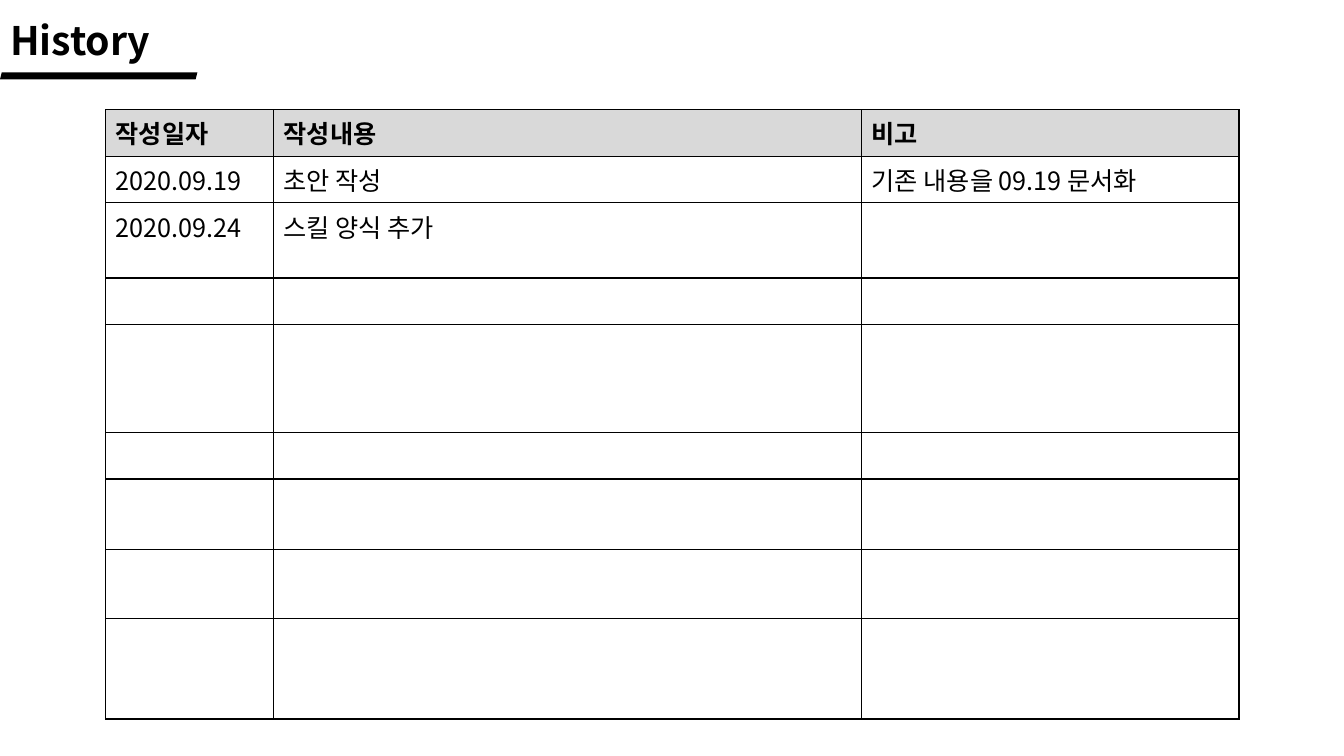
from dataclasses import dataclass

from lxml import etree
from pptx import Presentation
from pptx import util as u
from pptx.dml import color
from pptx.enum import shapes, text
from pptx.oxml import ns

FONT = "Noto Sans CJK KR"
COLORS = {"ink": "000000", "header": "D9D9D9", "paper": "FFFFFF"}
COLUMN_WIDTHS = (120, 420, 269.5)
BORDER_TAGS = ("a:lnL", "a:lnR", "a:lnT", "a:lnB")


@dataclass(frozen=True)
class HistoryRow:
    height: float
    texts: tuple[str, str, str] = ("", "", "")
    fill: str = "paper"
    bold: bool = False


HISTORY = (
    HistoryRow(33.3, ("작성일자", "작성내용", "비고"), "header", True),
    HistoryRow(33.3, ("2020.09.19", "초안 작성", "기존 내용을 09.19 문서화")),
    HistoryRow(53.7, ("2020.09.24", "스킬 양식 추가", "")),
    HistoryRow(33.3),
    HistoryRow(77),
    HistoryRow(33.3),
    HistoryRow(50.6),
    HistoryRow(49.4),
    HistoryRow(71.5),
)


def rgb(name: str) -> color.RGBColor:
    return color.RGBColor.from_string(COLORS[name])


def style_text(frame, size: float, bold: bool) -> None:
    for para in frame.paragraphs:
        for span in para.runs:
            span.font.size = u.Pt(size)
            span.font.bold = bold
            span.font.name = FONT
            span.font.color.rgb = rgb("ink")
            east_asian = etree.SubElement(span.font._element, ns.qn("a:ea"))
            east_asian.set("typeface", FONT)


def draw_borders(cell) -> None:
    properties = cell._tc.get_or_add_tcPr()
    for index, tag in enumerate(BORDER_TAGS):
        line = etree.Element(ns.qn(tag), w=str(u.Pt(1)))
        fill = etree.SubElement(line, ns.qn("a:solidFill"))
        etree.SubElement(fill, ns.qn("a:srgbClr"), val=COLORS["ink"])
        properties.insert(index, line)


def draw_title(page) -> None:
    title = page.shapes.title
    title.left, title.top = u.Pt(0), u.Pt(7.9)
    title.width, title.height = u.Pt(150.5), u.Pt(41)
    frame = title.text_frame
    frame.text = "History"
    frame.word_wrap = True
    frame.vertical_anchor = text.MSO_ANCHOR.MIDDLE
    frame.auto_size = text.MSO_AUTO_SIZE.SHAPE_TO_FIT_TEXT
    frame.paragraphs[0].alignment = text.PP_ALIGN.LEFT
    style_text(frame, 28, True)


def draw_underline(page) -> None:
    underline = page.shapes.add_shape(
        shapes.MSO_SHAPE.PARALLELOGRAM, u.Pt(0), u.Pt(51.8), u.Pt(141), u.Pt(5)
    )
    underline.shadow.inherit = False
    underline.fill.solid()
    underline.fill.fore_color.rgb = rgb("ink")
    underline.line.fill.background()


def draw_history(page, rows: tuple[HistoryRow, ...]) -> None:
    table = page.shapes.add_table(
        len(rows), len(COLUMN_WIDTHS), u.Pt(75.5), u.Pt(78.3),
        u.Pt(sum(COLUMN_WIDTHS)), u.Pt(sum(row.height for row in rows)),
    ).table
    table.horz_banding = False
    for column, width in zip(table.columns, COLUMN_WIDTHS):
        column.width = u.Pt(width)
    for index, row in enumerate(rows):
        table.rows[index].height = u.Pt(row.height)
        for cell, words in zip(table.rows[index].cells, row.texts):
            cell.fill.solid()
            cell.fill.fore_color.rgb = rgb(row.fill)
            draw_borders(cell)
            if words:
                cell.text_frame.text = words
                style_text(cell.text_frame, 18, row.bold)


deck = Presentation()
deck.slide_width, deck.slide_height = u.Pt(960), u.Pt(540)
page = deck.slides.add_slide(deck.slide_layouts[5])
draw_history(page, HISTORY)
draw_title(page)
draw_underline(page)
deck.save("out.pptx")
